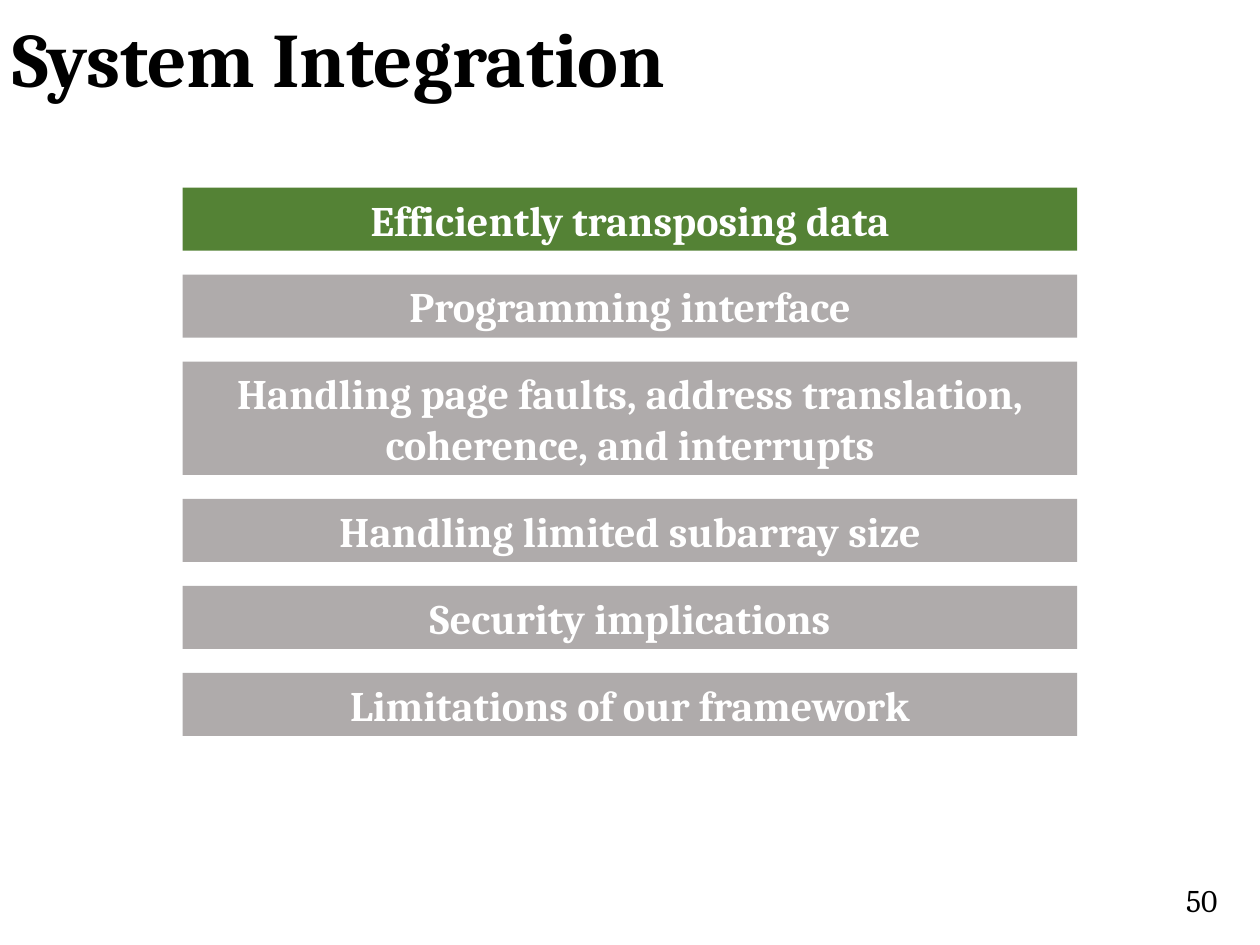
"""Build the System Integration agenda slide."""
import dataclasses
import typing

import pptx
import pptx.dml.color
import pptx.enum.shapes
import pptx.enum.text
import pptx.util

Inches = pptx.util.Inches
Align = pptx.enum.text.PP_ALIGN
Fit = pptx.enum.text.MSO_AUTO_SIZE


@dataclasses.dataclass(frozen=True)
class Theme:
    font: str = "Cambria"
    black: str = "000000"
    white: str = "FFFFFF"
    green: str = "548235"
    gray: str = "AFABAB"
    title: int = 44
    topic: int = 24
    number: int = 18


class Box(typing.NamedTuple):
    left: float
    top: float
    width: float
    height: float

    def place(self) -> list[pptx.util.Length]:
        return [Inches(side) for side in self]


class Topic(typing.NamedTuple):
    text: str
    lines: int = 1
    active: bool = False


class Style(typing.NamedTuple):
    size: int
    color: str
    bold: bool
    align: Align
    space: float = 1.0


THEME = Theme()
TITLE = Style(THEME.title, THEME.black, True, Align.LEFT, 0.9)
BAR = Style(THEME.topic, THEME.white, True, Align.CENTER)
NUMBER = Style(THEME.number, THEME.black, False, Align.RIGHT)

LEFT, TOP, WIDTH = 1.45, 1.49, 7.1
HEIGHT, EXTRA, GAP = 0.5, 0.4, 0.19

TOPICS = [
    Topic("Efficiently transposing data", active=True),
    Topic("Programming interface"),
    Topic("Handling page faults, address translation, coherence, and interrupts", lines=2),
    Topic("Handling limited subarray size"),
    Topic("Security implications"),
    Topic("Limitations of our framework"),
]


def write(frame, text: str, style: Style, fit: Fit = Fit.NONE) -> None:
    frame.word_wrap = True
    frame.auto_size = fit
    frame.vertical_anchor = pptx.enum.text.MSO_ANCHOR.MIDDLE
    para = frame.paragraphs[0]
    para.alignment = style.align
    para.line_spacing = style.space
    run = para.add_run()
    run.text = text
    run.font.name = THEME.font
    run.font.size = pptx.util.Pt(style.size)
    run.font.bold = style.bold
    run.font.color.rgb = pptx.dml.color.RGBColor.from_string(style.color)


def label(slide, box: Box, text: str, style: Style) -> None:
    write(slide.shapes.add_textbox(*box.place()).text_frame, text, style)


def bar(slide, box: Box, topic: Topic) -> None:
    kind = pptx.enum.shapes.MSO_SHAPE.RECTANGLE
    shape = slide.shapes.add_shape(kind, *box.place())
    shape.shadow.inherit = False
    shape.fill.solid()
    color = THEME.green if topic.active else THEME.gray
    shape.fill.fore_color.rgb = pptx.dml.color.RGBColor.from_string(color)
    shape.line.fill.background()
    write(shape.text_frame, topic.text, BAR, Fit.SHAPE_TO_FIT_TEXT)


def main() -> None:
    deck = pptx.Presentation()
    deck.slide_width, deck.slide_height = Inches(10), Inches(7.5)
    slide = deck.slides.add_slide(deck.slide_layouts[6])
    label(slide, Box(0, 0.09, 9.83, 0.81), "System Integration", TITLE)
    top = TOP
    for topic in TOPICS:
        height = HEIGHT + EXTRA * (topic.lines - 1)
        bar(slide, Box(LEFT, top, WIDTH, height), topic)
        top += height + GAP
    label(slide, Box(6.01, 6.94, 3.75, 0.4), "50", NUMBER)
    deck.save("out.pptx")


if __name__ == "__main__":
    main()
